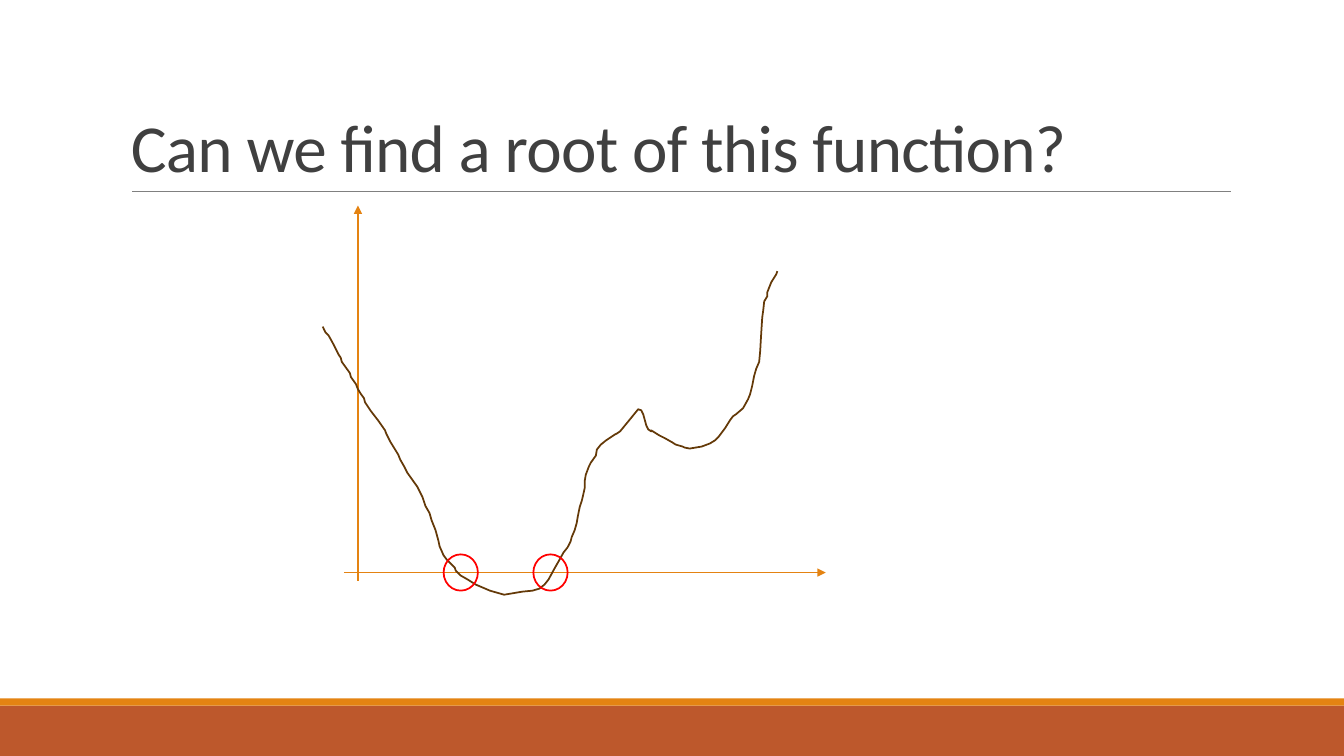
from lxml.etree import SubElement
from pptx import Presentation
from pptx.dml.color import RGBColor
from pptx.enum.shapes import MSO_CONNECTOR, MSO_SHAPE
from pptx.enum.text import MSO_ANCHOR
from pptx.oxml.ns import qn
from pptx.util import Inches, Pt

WIDTH, HEIGHT = 13.33, 7.5
ORANGE = "E48312"

# Curve points in hundredths of an inch from the plot's top left corner
CURVE = [
    (20, 124), (23, 130), (26, 133), (31, 142), (36, 152), (38, 155), (39, 159),
    (47, 170), (48, 174), (53, 181), (55, 186), (58, 191), (61, 195), (62, 199),
    (68, 208), (75, 217), (82, 227), (83, 230), (87, 238), (95, 251), (97, 256),
    (101, 263), (104, 269), (109, 276), (114, 283), (117, 289), (119, 293),
    (122, 302), (126, 309), (128, 316), (132, 326), (135, 337), (136, 342),
    (140, 351), (143, 355), (151, 363), (152, 366), (157, 371), (164, 375),
    (172, 380), (179, 383), (186, 386), (200, 390), (218, 387), (228, 386),
    (235, 384), (240, 380), (244, 375), (250, 364), (254, 357), (259, 348),
    (263, 343), (266, 337), (267, 333), (270, 326), (272, 319), (273, 313),
    (275, 303), (277, 297), (278, 293), (280, 284), (280, 277), (281, 271),
    (284, 263), (286, 259), (291, 252), (292, 246), (296, 241), (301, 237),
    (307, 233), (310, 231), (312, 230), (315, 228), (324, 217), (333, 206),
    (336, 207), (338, 211), (341, 222), (343, 226), (346, 228), (346, 227),
    (354, 232), (360, 235), (367, 239), (370, 241), (377, 243), (379, 244),
    (384, 245), (396, 243), (404, 240), (409, 237), (413, 233), (419, 225),
    (424, 217), (427, 213), (430, 211), (437, 205), (442, 196), (444, 191),
    (446, 183), (448, 173), (450, 166), (453, 159), (454, 148), (455, 131),
    (456, 115), (457, 108), (458, 99), (461, 94), (461, 90), (465, 80),
    (470, 72), (471, 69),
]


def color(value):
    return RGBColor.from_string(value)


def add_outlined(shape, line_color):
    shape.shadow.inherit = False
    shape.fill.background()
    shape.line.color.rgb = color(line_color)
    shape.line.width = Pt(1.25)


def add_line(slide, start, end, line_color, width, arrow=False):
    line = slide.shapes.add_connector(
        MSO_CONNECTOR.STRAIGHT, *(Inches(value) for value in (*start, *end)))
    line.line.color.rgb = color(line_color)
    line.line.width = Pt(width)
    if arrow:
        SubElement(line.line._get_or_add_ln(), qn("a:tailEnd"), type="triangle")
    SubElement(line._element.spPr, qn("a:effectLst"))


def add_footer(slide, left, top, width, height):
    stripe = 0.07
    bands = [(top + stripe, height - stripe, "BD582C"), (top, stripe, ORANGE)]
    for band_top, band_height, fill in bands:
        band = slide.shapes.add_shape(
            MSO_SHAPE.RECTANGLE, Inches(left), Inches(band_top),
            Inches(width), Inches(band_height))
        band.shadow.inherit = False
        band.fill.solid()
        band.fill.fore_color.rgb = color(fill)
        band.line.fill.background()


def add_title(slide, text, left, top, width, height):
    bottom = top + height
    add_line(slide, (left + 0.11, bottom), (left + width + 0.01, bottom), "808080", 0.5)
    box = slide.shapes.add_textbox(
        Inches(left), Inches(top), Inches(width), Inches(height))
    frame = box.text_frame
    frame.word_wrap = True
    frame.vertical_anchor = MSO_ANCHOR.BOTTOM
    paragraph = frame.paragraphs[0]
    paragraph.line_spacing = 0.85
    run = paragraph.add_run()
    run.text = text
    paragraph.font.name = "Calibri"
    paragraph.font.size = Pt(48)
    paragraph.font.color.rgb = color("404040")
    # Tighter letter spacing
    run._r.get_or_add_rPr().set("spc", "-50")


def add_plot(slide, left, top, width, height):
    # Axes
    axis_x, axis_y = left + 0.55, top + 3.68
    add_line(slide, (axis_x, top + 3.76), (axis_x, top + 0.04), ORANGE, 1, arrow=True)
    add_line(slide, (left + 0.41, axis_y), (left + width, axis_y), ORANGE, 1, arrow=True)

    # Function curve
    builder = slide.shapes.build_freeform(*CURVE[0], scale=Inches(0.01))
    builder.add_line_segments(CURVE[1:], close=False)
    add_outlined(builder.convert_to_shape(Inches(left), Inches(top)), "643908")

    # Circles around the roots
    circle_width, circle_height = 0.34, 0.36
    for root in (2.46, 1.57):
        circle = slide.shapes.add_shape(
            MSO_SHAPE.OVAL, Inches(left + root - circle_width / 2),
            Inches(axis_y - circle_height / 2),
            Inches(circle_width), Inches(circle_height))
        add_outlined(circle, "FF0000")


def main():
    presentation = Presentation()
    presentation.slide_width = Inches(WIDTH)
    presentation.slide_height = Inches(HEIGHT)
    slide = presentation.slides.add_slide(presentation.slide_layouts[6])
    add_footer(slide, 0, 6.93, WIDTH, HEIGHT - 6.93)
    add_title(slide, "Can we find a root of this function?", 1.2, 0.31, 11, 1.59)
    add_plot(slide, 3, 2, 5.19, 3.9)
    presentation.save("out.pptx")


if __name__ == "__main__":
    main()
